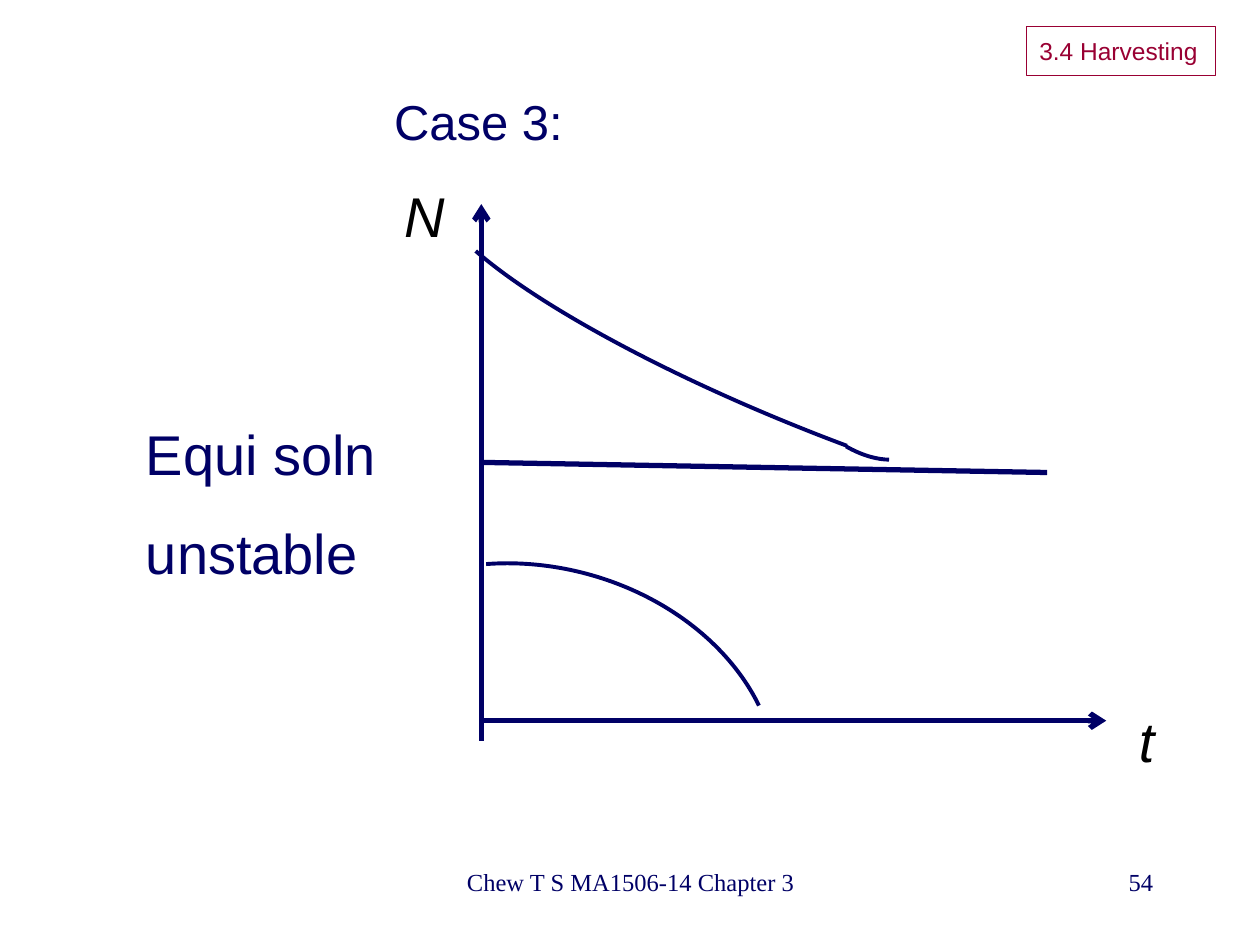
from pptx import Presentation
from pptx.dml.color import RGBColor
from pptx.enum.shapes import MSO_CONNECTOR as Connector, MSO_SHAPE as Shape
from pptx.enum.text import MSO_ANCHOR as Anchor, MSO_AUTO_SIZE as AutoSize, PP_ALIGN as Align
from pptx.oxml.ns import qn
from pptx.util import Inches, Pt
from lxml.etree import SubElement

NAVY, BLACK, CRIMSON = "000066", "000000", "990033"
LABEL = dict(size=Pt(32), name="Arial")
FOOTER = dict(size=Pt(14), name="Times New Roman")


def color(hex_value):
    return RGBColor.from_string(hex_value)


def style_line(line, hex_value, width):
    line.color.rgb = color(hex_value)
    line.width = Pt(width)


def write(shape, lines, hex_value, font, align=Align.LEFT, anchor=Anchor.TOP,
          wrap=True, grow=False):
    frame = shape.text_frame
    frame.word_wrap = wrap
    frame.vertical_anchor = anchor
    frame.auto_size = AutoSize.SHAPE_TO_FIT_TEXT if grow else AutoSize.NONE
    for index, line in enumerate(lines):
        para = frame.paragraphs[0] if index == 0 else frame.add_paragraph()
        para.alignment = align
        if index:
            para.space_before = Pt(18)
        span = para.add_run()
        span.text = line
        span.font.color.rgb = color(hex_value)
        for key, value in font.items():
            setattr(span.font, key, value)


def add_text(page, place, lines, hex_value, font, **layout):
    box = page.shapes.add_textbox(*map(Inches, place))
    write(box, lines, hex_value, font, **layout)


def add_line(page, start, end, arrow=False):
    line = page.shapes.add_connector(Connector.STRAIGHT, *map(Inches, start + end))
    style_line(line.line, NAVY, 3)
    if arrow:
        SubElement(line.line._get_or_add_ln(), qn("a:tailEnd"), type="arrow")
    SubElement(line._element.spPr, qn("a:effectLst"))


def add_arc(page, place, rotation, angles):
    arc = page.shapes.add_shape(Shape.ARC, *map(Inches, place))
    arc.shadow.inherit = False
    arc.fill.background()
    style_line(arc.line, NAVY, 2.25)
    arc.rotation = rotation
    for index, degrees in enumerate(angles):
        # An arc stores 60000ths of a degree, scaled here by 100000
        arc.adjustments[index] = degrees * 0.6


def add_section_tag(page, place, title):
    tag = page.shapes.add_shape(Shape.RECTANGLE, *map(Inches, place))
    tag.shadow.inherit = False
    tag.fill.background()
    style_line(tag.line, CRIMSON, 0.75)
    write(tag, [title], CRIMSON, dict(size=Pt(14), name="Arial"), anchor=Anchor.MIDDLE)


def main():
    deck = Presentation()
    deck.slide_width, deck.slide_height = Inches(10), Inches(7.5)
    page = deck.slides.add_slide(deck.slide_layouts[6])

    add_text(page, (3.42, 6.83, 3.17, 0.5), ["Chew T S MA1506-14 Chapter 3"],
             NAVY, FOOTER, align=Align.CENTER)
    add_text(page, (7.17, 6.83, 2.08, 0.5), ["54"], NAVY, FOOTER, align=Align.RIGHT)

    axis_x, axis_y = 3.82, 5.72
    add_line(page, (axis_x, 5.88), (axis_x, 1.62), arrow=True)
    add_line(page, (axis_x, axis_y), (8.78, axis_y), arrow=True)
    add_line(page, (axis_x, 3.67), (8.31, 3.75))

    add_arc(page, (2.32, 4.5, 3.87, 3.02), 14.3, (241.21, 332.66))
    add_arc(page, (3.23, 2.05, 6.79, 1.4), 201.8, (241.21, 353.09))
    add_arc(page, (6.56, 2.8, 0.53, 1), 122.1, (294.35, 352.36))

    axis_label = dict(LABEL, italic=True)
    add_text(page, (3.11, 1.39, 0.63, 0.64), ["N"], BLACK, axis_label, grow=True)
    add_text(page, (8.94, 5.56, 0.47, 0.64), ["t"], BLACK, axis_label, grow=True)
    add_text(page, (1.06, 3.28, 2.44, 1.45), ["Equi soln", "unstable"],
             NAVY, LABEL, grow=True)
    add_text(page, (3.03, 0.68, 1.56, 0.57), ["Case 3:"], NAVY,
             dict(LABEL, size=Pt(28)), wrap=False, grow=True)
    add_section_tag(page, (8.15, 0.21, 1.5, 0.39), "3.4 Harvesting")

    deck.save("out.pptx")


if __name__ == "__main__":
    main()
